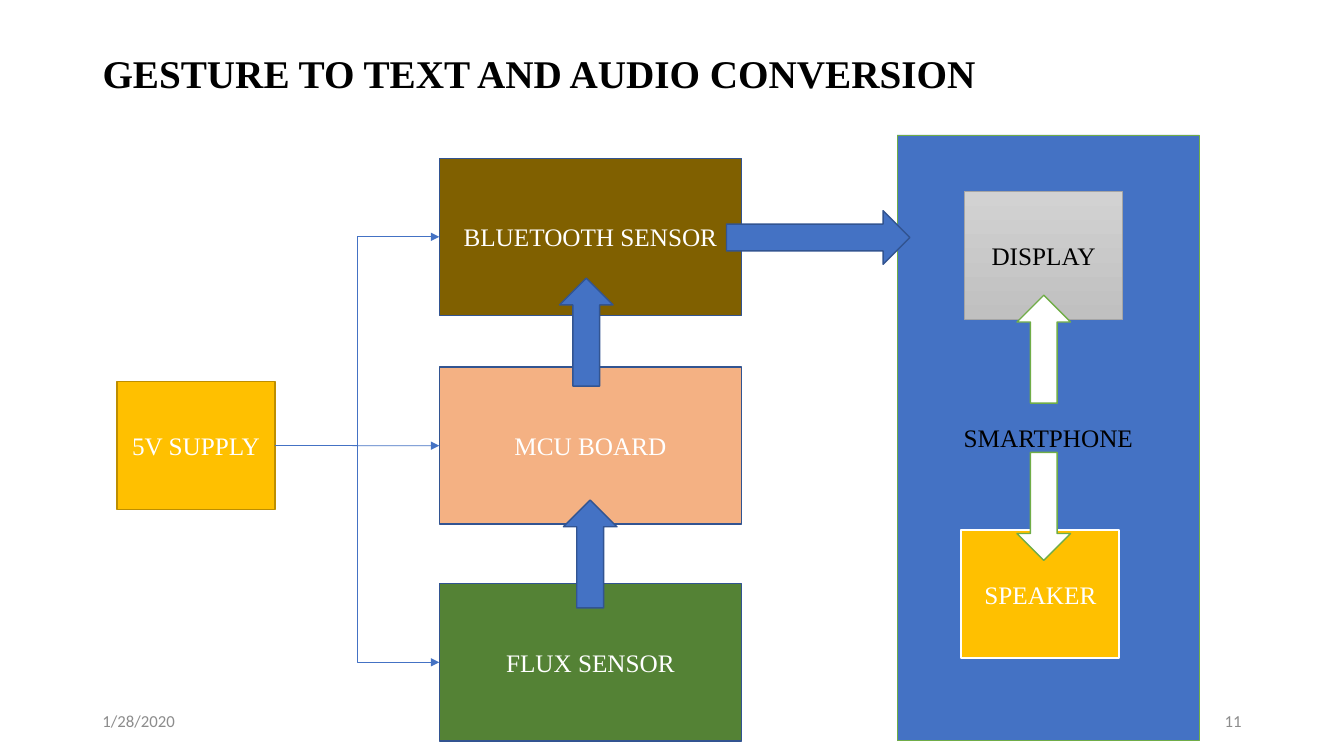
from dataclasses import dataclass

from lxml.etree import SubElement
from pptx import Presentation
from pptx.dml.color import RGBColor
from pptx.enum.shapes import MSO_CONNECTOR, MSO_SHAPE
from pptx.enum.text import MSO_ANCHOR, MSO_AUTO_SIZE, PP_ALIGN
from pptx.oxml.ns import qn
from pptx.util import Cm, Pt


@dataclass(frozen=True)
class Theme:
    serif: str = "Times New Roman"
    sans: str = "Calibri"
    head: int = 28
    label: int = 18
    foot: int = 12
    black: str = "000000"
    white: str = "FFFFFF"
    grey: str = "8C8C8C"
    blue: str = "4472C4"
    navy: str = "325491"
    gold: str = "FFC000"
    rim: str = "BD8E00"
    green: str = "548235"
    lime: str = "70AD47"
    peach: str = "F4B183"
    brown: str = "806000"
    light: str = "D2D2D2"
    dark: str = "C0C0C0"
    edge: str = "A5A5A5"


THEME = Theme()


def rgb(code):
    return RGBColor.from_string(code)


def style(frame, text, font, size, color, align, bold=False):
    frame.text = text
    frame.word_wrap = True
    para = frame.paragraphs[0]
    para.alignment = align
    para.font.name = font
    para.font.size = Pt(size)
    para.font.bold = bold
    para.font.color.rgb = rgb(color)


def add_title(slide, text):
    title = slide.shapes.title
    title.left, title.top = Cm(2.33), Cm(1.12)
    title.width, title.height = Cm(22.89), Cm(1.45)
    frame = title.text_frame
    style(frame, text, THEME.serif, THEME.head, THEME.black, PP_ALIGN.LEFT, True)
    frame.vertical_anchor = MSO_ANCHOR.TOP
    frame.auto_size = MSO_AUTO_SIZE.NONE


def add_foot(slide, text, left, align):
    box = slide.shapes.add_textbox(Cm(left), Cm(17.65), Cm(7.62), Cm(1.01))
    style(box.text_frame, text, THEME.sans, THEME.foot, THEME.grey, align)
    box.text_frame.vertical_anchor = MSO_ANCHOR.MIDDLE


def add_form(slide, kind, place, fill, line, width=1):
    form = slide.shapes.add_shape(kind, *map(Cm, place))
    form.shadow.inherit = False
    if isinstance(fill, tuple):
        form.fill.gradient()
        form.fill.gradient_angle = 270
        for stop, code in zip(form.fill.gradient_stops, fill):
            stop.color.rgb = rgb(code)
    else:
        form.fill.solid()
        form.fill.fore_color.rgb = rgb(fill)
    form.line.color.rgb = rgb(line)
    form.line.width = Pt(width)
    return form


def add_box(slide, text, place, fill, line, width=1, color=THEME.white):
    box = add_form(slide, MSO_SHAPE.RECTANGLE, place, fill, line, width)
    style(box.text_frame, text, THEME.serif, THEME.label, color, PP_ALIGN.CENTER)
    box.text_frame.vertical_anchor = MSO_ANCHOR.MIDDLE
    return box


def add_link(slide, kind, start, end):
    link = slide.shapes.add_connector(kind, 0, 0, 0, 0)
    link.begin_connect(start, 3)
    link.end_connect(end, 1)
    link.line.color.rgb = rgb(THEME.blue)
    link.line.width = Pt(0.5)
    props = link._element.spPr
    SubElement(props.find(qn("a:ln")), qn("a:tailEnd"), type="triangle")
    SubElement(props, qn("a:effectLst"))


def main():
    deck = Presentation()
    deck.slide_width, deck.slide_height = Cm(33.87), Cm(19.05)
    slide = deck.slides.add_slide(deck.slide_layouts[5])

    # Title and footer
    add_title(slide, "GESTURE TO TEXT AND AUDIO CONVERSION")
    add_foot(slide, "1/28/2020", 2.33, PP_ALIGN.LEFT)
    add_foot(slide, "11", 23.92, PP_ALIGN.RIGHT)

    # Supply and the stack it feeds
    small = (3.98, 3.22)
    supply = add_box(slide, "5V SUPPLY", (2.95, 9.62, *small), THEME.gold, THEME.rim)
    flux, board, radio = [
        add_box(slide, text, (11.07, top, 7.62, 3.96), fill, THEME.navy)
        for text, top, fill in (
            ("FLUX SENSOR", 14.71, THEME.green),
            ("MCU BOARD", 9.25, THEME.peach),
            ("BLUETOOTH SENSOR", 3.99, THEME.brown),
        )
    ]

    # Phone and its outputs
    add_box(slide, "SMARTPHONE", (22.61, 3.4, 7.62, 15.27),
            THEME.blue, THEME.lime, 0.5, THEME.black)
    add_box(slide, "DISPLAY", (24.31, 4.83, *small),
            (THEME.light, THEME.dark), THEME.edge, 0.5, THEME.black)
    add_box(slide, "SPEAKER", (24.23, 13.36, *small), THEME.gold, THEME.white, 1.5)

    # Block arrows
    up, down = MSO_SHAPE.UP_ARROW, MSO_SHAPE.DOWN_ARROW
    for kind, left, top, fill, line in (
        (up, 14.2, 12.6, THEME.blue, THEME.navy),
        (up, 14.1, 7.01, THEME.blue, THEME.navy),
        (up, 25.63, 7.44, THEME.white, THEME.lime),
        (down, 25.63, 11.4, THEME.white, THEME.lime),
    ):
        add_form(slide, kind, (left, top, 1.35, 2.72), fill, line)
    add_form(slide, MSO_SHAPE.RIGHT_ARROW, (18.31, 5.31, 4.62, 1.35),
             THEME.blue, THEME.navy)

    # Power lines
    add_link(slide, MSO_CONNECTOR.ELBOW, supply, flux)
    add_link(slide, MSO_CONNECTOR.ELBOW, supply, radio)
    add_link(slide, MSO_CONNECTOR.STRAIGHT, supply, board)

    deck.save("out.pptx")


if __name__ == "__main__":
    main()
